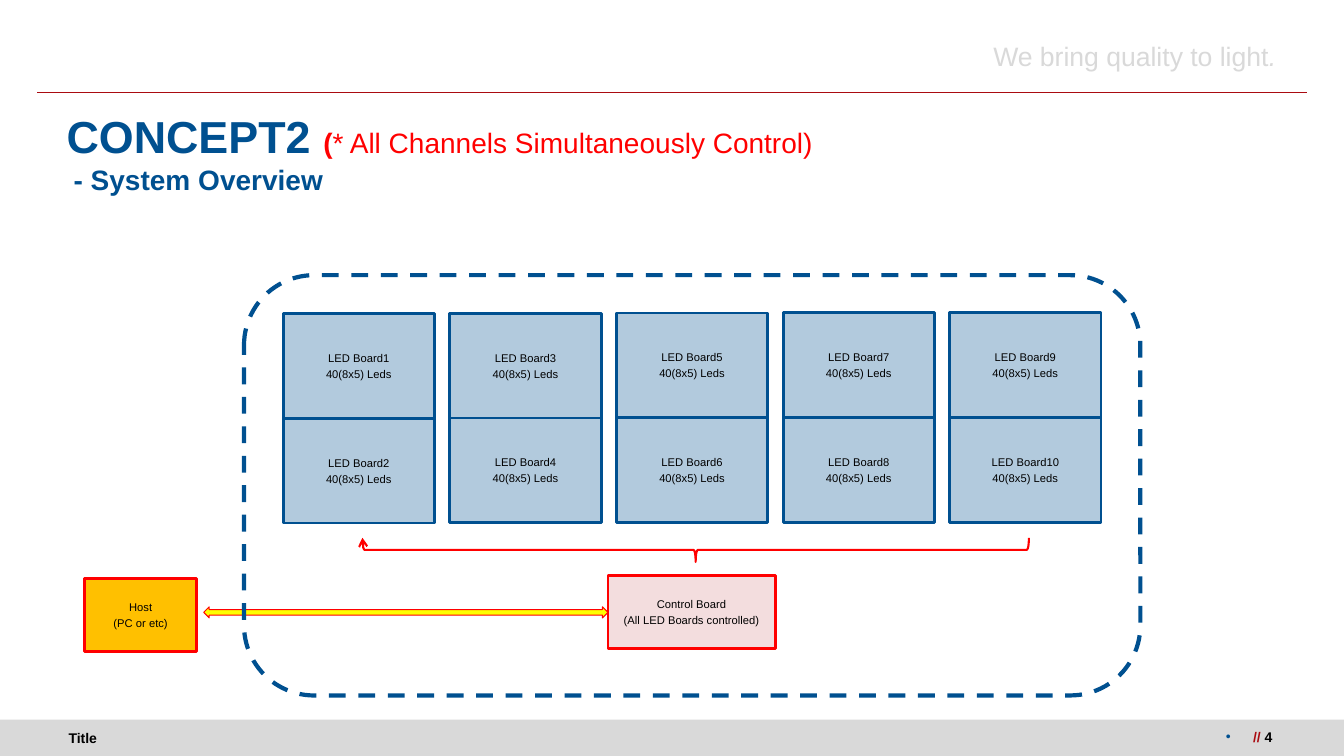
from dataclasses import dataclass
from lxml.etree import SubElement as Sub
from pptx import Presentation
from pptx.dml.color import RGBColor as Color
from pptx.enum.dml import MSO_LINE as Dash
from pptx.enum.shapes import MSO_CONNECTOR as Link, MSO_SHAPE as Kind
from pptx.enum.text import MSO_ANCHOR as Anchor, PP_ALIGN as Align
from pptx.oxml.ns import qn
from pptx.util import Inches, Pt


@dataclass(frozen=True)
class Theme:
    font: str = "Arial"
    blue: str = "005090"
    pale: str = "B2CADD"
    red: str = "FF0000"
    dark: str = "AA0B11"
    gold: str = "FFC000"
    yellow: str = "FFFF00"
    pink: str = "F3DDDE"
    gray: str = "D9D9D9"
    black: str = "000000"
    head: int = 32
    sub: int = 20
    motto: int = 19
    foot: int = 10
    label: int = 8


T = Theme()
WIDE, HIGH = 13.33, 7.5
FOOT = 0.36
PAD = (0.13, 0.07, 0.13, 0.07)

TEXTS = [
    ((0.65, HIGH - FOOT, 4.83, FOOT), Align.LEFT, Anchor.MIDDLE, (0.03, 0.07, 0.13, 0.07),
     [("Title", T.foot, T.black, True, False)]),
    ((9.19, 0.33, 3.67, 0.45), Align.RIGHT, Anchor.TOP, PAD,
     [("We bring quality to light", T.motto, T.gray, False, False),
      (". ", T.motto, T.gray, False, True)]),
    ((0.53, 0.99, 12.22, 0.71), Align.LEFT, Anchor.MIDDLE, PAD,
     [("CONCEPT2 ", T.head, T.blue, True, False),
      ("(", T.sub, T.red, True, False),
      ("* All Channels Simultaneously Control)", T.sub, T.red, False, False)]),
    ((0.6, 1.42, 12.22, 0.71), Align.LEFT, Anchor.MIDDLE, PAD,
     [("- System Overview", T.sub, T.blue, True, False)]),
]
PAGE = ((10.76, 7.16, 1.99, 0.37), Align.RIGHT, Anchor.TOP, PAD,
        [("// ", T.foot, T.dark, True, False), ("4", T.foot, T.black, True, False)])

COLS, ROWS = 5, 2
FIRST, LAST = (2.81, 3.11), (9.42, 3.1)
BOARD = (1.5, 1.04)
LEDS = "40(8x5) Leds"
NODES = [
    ((0.84, 5.74, 1.11, 0.72), T.gold, "Host\n(PC or etc)"),
    ((6.03, 5.71, 1.66, 0.72), T.pink, "Control Board\n(All LED Boards controlled)"),
]
ARROW = (2.02, 6.02, 4.01, 0.11)
FRAME = (2.42, 2.73, 8.89, 4.17)
BRACE = (6.78, 2.15, 0.24, 6.61)

deck = Presentation()
deck.slide_width, deck.slide_height = Inches(WIDE), Inches(HIGH)
slide = deck.slides.add_slide(deck.slide_layouts[6])
parts = slide.shapes


def style(font, size, hue, bold=False, slant=False):
    font.name, font.size = T.font, Pt(size)
    font.bold, font.italic = bold, slant
    font.color.rgb = Color.from_string(hue)


def shape(kind, box, fill=None, edge=None, width=2):
    item = parts.add_shape(kind, *map(Inches, box))
    item.shadow.inherit = False
    if fill:
        item.fill.solid()
        item.fill.fore_color.rgb = Color.from_string(fill)
    else:
        item.fill.background()
    if edge:
        item.line.color.rgb = Color.from_string(edge)
        item.line.width = Pt(width)
    else:
        item.line.fill.background()
    return item


def node(box, fill, edge, words):
    frame = shape(Kind.RECTANGLE, box, fill, edge).text_frame
    frame.text = words
    frame.word_wrap = True
    frame.vertical_anchor = Anchor.MIDDLE
    frame.margin_left = frame.margin_right = Inches(0.05)
    for row, para in enumerate(frame.paragraphs):
        para.alignment = Align.CENTER
        if row:
            para.space_before = Pt(T.label * 0.23)
        style(para.runs[0].font, T.label, T.black)


def text(box, align, anchor, pad, runs):
    frame = parts.add_textbox(*map(Inches, box)).text_frame
    frame.word_wrap = True
    frame.vertical_anchor = anchor
    (frame.margin_left, frame.margin_top,
     frame.margin_right, frame.margin_bottom) = map(Inches, pad)
    para = frame.paragraphs[0]
    para.alignment = align
    for words, *look in runs:
        run = para.add_run()
        run.text = words
        style(run.font, *look)
    return para


def bullet(para, hue, gap):
    props = para._p.get_or_add_pPr()
    props.set("marL", str(Inches(gap)))
    props.set("indent", str(-Inches(gap)))
    Sub(Sub(props, qn("a:buClr")), qn("a:srgbClr"), val=hue)
    Sub(props, qn("a:buFont"), typeface=T.font)
    Sub(props, qn("a:buChar"), char="•")


shape(Kind.RECTANGLE, (0, HIGH - FOOT, WIDE, FOOT), T.gray)
rule = parts.add_connector(Link.STRAIGHT, *map(Inches, (0.37, 0.92, 12.96, 0.92)))
rule.line.color.rgb = Color.from_string(T.dark)
rule.line.width = Pt(0.75)
Sub(rule._element.spPr, qn("a:effectLst"))

for entry in TEXTS:
    text(*entry)
bullet(text(*PAGE), T.blue, 0.27)

for col in range(COLS):
    left, top = (a + (b - a) * col / (COLS - 1) for a, b in zip(FIRST, LAST))
    for row in range(ROWS):
        name = f"LED Board{col * ROWS + row + 1}"
        node((left, top + row * BOARD[1], *BOARD), T.pale, T.blue, f"{name}\n{LEDS}")

for box, fill, words in NODES:
    node(box, fill, T.red, words)
shape(Kind.LEFT_RIGHT_ARROW, ARROW, T.yellow, T.red, 0.75)

frame = shape(Kind.ROUNDED_RECTANGLE, FRAME, None, T.blue, 3)
frame.line.dash_style = Dash.DASH

brace = shape(Kind.LEFT_BRACE, BRACE, None, T.red, 1.5)
brace.rotation = 270
Sub(brace.line._get_or_add_ln(), qn("a:tailEnd"), type="arrow")

deck.save("out.pptx")
